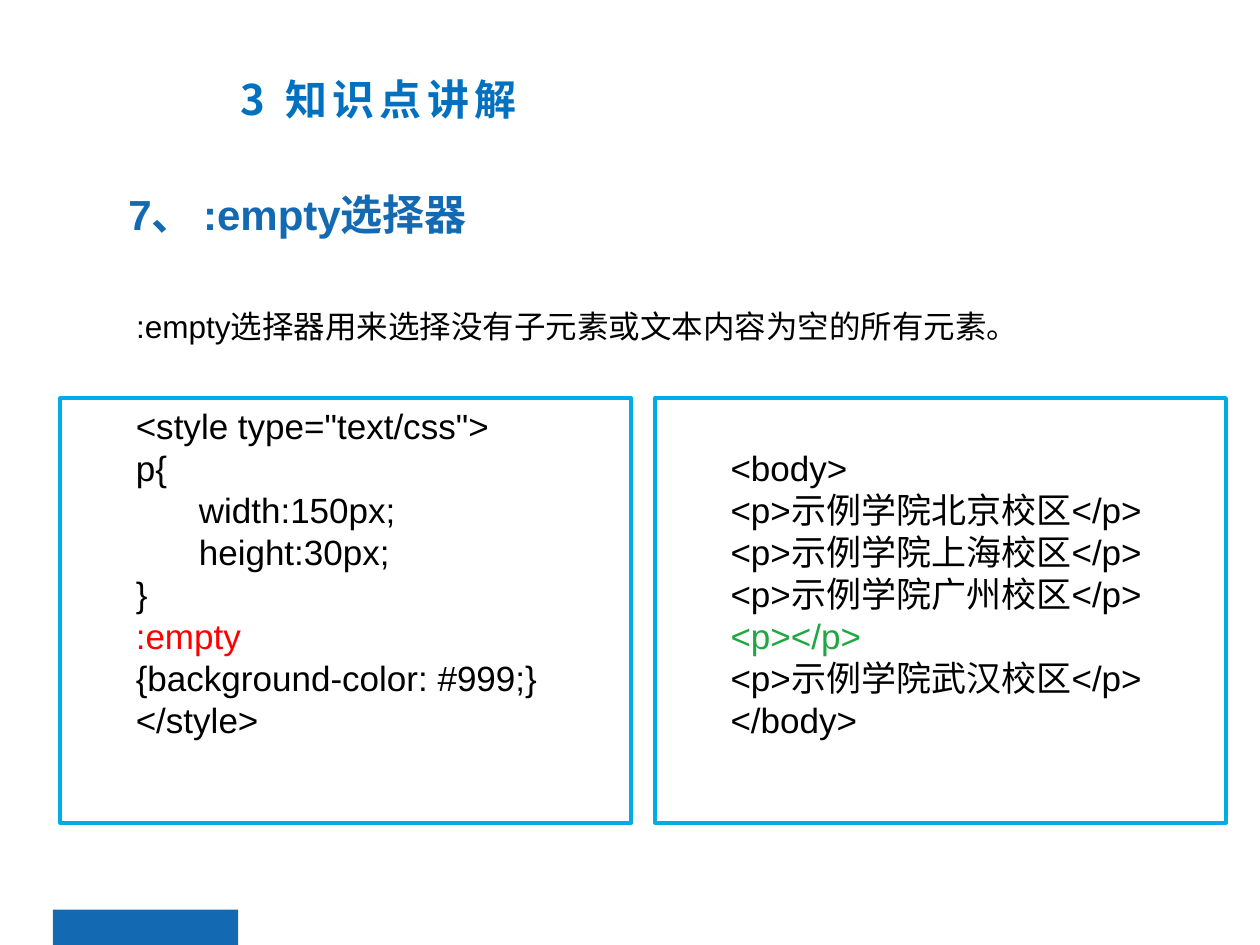
from lxml import etree
from pptx import Presentation
from pptx.dml.color import RGBColor
from pptx.enum.shapes import MSO_SHAPE
from pptx.enum.text import MSO_ANCHOR, PP_ALIGN
from pptx.oxml.ns import qn
from pptx.util import Inches, Pt

RECT = MSO_SHAPE.RECTANGLE
TOP = MSO_ANCHOR.TOP
LEFT = PP_ALIGN.LEFT
BLACK = RGBColor(0, 0, 0)
RED = RGBColor(0xFF, 0, 0)
GREEN = RGBColor(0x1F, 0xA7, 0x43)
BLUE = RGBColor(0x13, 0x69, 0xB2)
AZURE = RGBColor(0, 0x70, 0xC0)
CYAN = RGBColor(0, 0xAC, 0xE6)
SANS = "Arial"
HAN = "Noto Sans CJK SC"
WIDE, HIGH = Inches(10), Inches(7.5)
COL, ROW = WIDE / 100, HIGH / 100
STEP = Inches(0.5)

STYLE = [
    '<style type="text/css">', "p{", "\twidth:150px;", "\theight:30px;", "}",
    ":empty", "{background-color: #999;}", "</style>",
]
BODY = [
    "<body>", "<p>示例学院北京校区</p>", "<p>示例学院上海校区</p>",
    "<p>示例学院广州校区</p>", "<p></p>", "<p>示例学院武汉校区</p>", "</body>",
]


def place(box):
    """Turn a box in columns and rows into slide lengths."""
    left, top, width, height = box
    return [int(n) for n in (left * COL, top * ROW, width * COL, height * ROW)]


def move(shape, box):
    """Set a placeholder on its box."""
    shape.left, shape.top, shape.width, shape.height = place(box)


def write(frame, lines, size=20, color=BLACK, marks=None, face=SANS, bold=False,
          margin=0, indent=0, space=None, track=0):
    """Fill a frame with lines in one format, with marked lines recoloured."""
    frame.word_wrap = True
    frame.vertical_anchor = TOP
    for i, line in enumerate(lines):
        para = frame.paragraphs[0] if i == 0 else frame.add_paragraph()
        para.alignment = LEFT
        para.space_before = Pt(0)
        if space:
            para.line_spacing = space
        props = para._p.get_or_add_pPr()
        props.set("marL", str(margin))
        props.set("indent", str(indent))
        etree.SubElement(props, qn("a:buNone"))
        run = para.add_run()
        run.text = line
        font = run.font
        font.size, font.bold, font.name = Pt(size), bold, face
        font.color.rgb = (marks or {}).get(line, color)
        rpr = run._r.get_or_add_rPr()
        etree.SubElement(rpr, qn("a:ea")).set("typeface", HAN)
        if track:
            rpr.set("spc", str(track * 100))


def draw_foot(slide, box):
    """Draw the blue tab at the foot."""
    tab = slide.shapes.add_shape(RECT, *place(box))
    tab.shadow.inherit = False
    tab.fill.solid()
    tab.fill.fore_color.rgb = BLUE
    tab.line.fill.background()


def draw_title(slide, box):
    """Place the chapter title."""
    title = slide.shapes.title
    move(title, box)
    write(title.text_frame, ["3 知识点讲解"], size=24, color=AZURE, face=HAN,
          bold=True, track=3)


def draw_head(slide, box):
    """Place the topic heading."""
    head = slide.shapes.add_textbox(*place(box))
    write(head.text_frame, ["7、 :empty选择器"], size=24, color=BLUE, bold=True,
          margin=STEP)


def draw_lead(slide, box):
    """Place the sentence that explains the selector."""
    lead = slide.placeholders[1]
    move(lead, box)
    write(lead.text_frame, [":empty选择器用来选择没有子元素或文本内容为空的所有元素。"],
          size=18, indent=STEP, space=1.5)


def draw_code(slide, box, lines, marks, inset=0.05):
    """Draw a framed panel of code."""
    panel = slide.shapes.add_shape(RECT, *place(box))
    panel.shadow.inherit = False
    panel.fill.background()
    panel.line.color.rgb = CYAN
    panel.line.width = Pt(2.25)
    frame = panel.text_frame
    frame.margin_top = Inches(inset)
    write(frame, lines, marks=marks, indent=STEP)


def main():
    """Build the slide and save it."""
    deck = Presentation()
    deck.slide_width, deck.slide_height = WIDE, HIGH
    slide = deck.slides.add_slide(deck.slide_layouts[1])
    draw_foot(slide, (4.2, 96.27, 14.7, 3.73))
    draw_lead(slide, (4.8, 29.87, 90, 56.13))
    draw_head(slide, (4.2, 19.33, 83.6, 6.67))
    draw_title(slide, (18.1, 7.07, 84.9, 10.53))
    draw_code(slide, (4.8, 42.13, 45.3, 44.93), STYLE, {":empty": RED})
    draw_code(slide, (52, 42.13, 45.3, 44.93), BODY, {"<p></p>": GREEN}, inset=0.38)
    deck.save("out.pptx")


if __name__ == "__main__":
    main()
